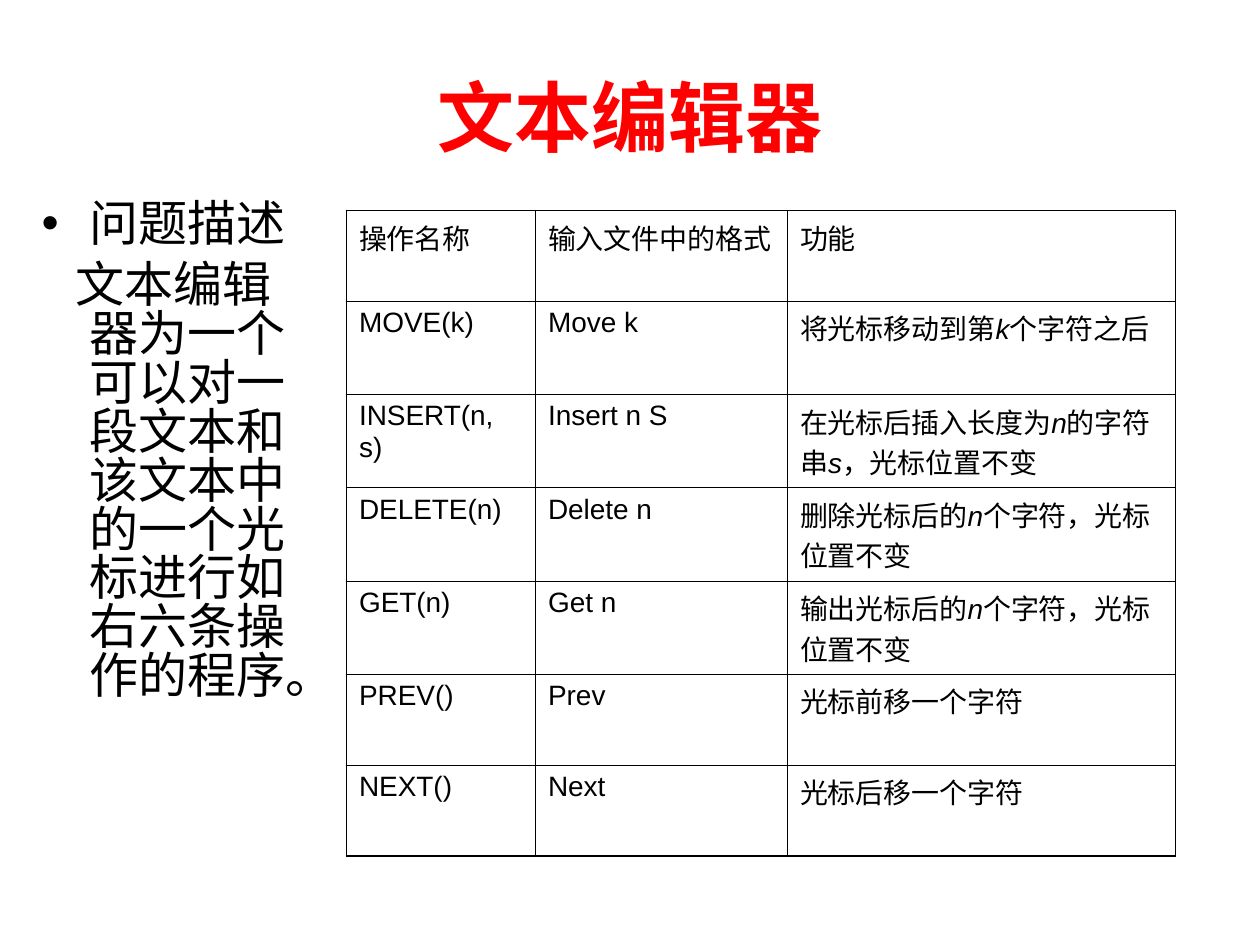
from lxml import etree
from pptx import Presentation
from pptx.dml.color import RGBColor
from pptx.enum import text
from pptx.oxml import ns
from pptx.util import Inches, Pt

CJK = "Noto Sans CJK JP"


def style(span, size, color, latin=CJK):
    span.font.size = Pt(size)
    span.font.name = latin
    span.font.color.rgb = RGBColor.from_string(color)
    east = etree.SubElement(span.font._element, ns.qn("a:ea"))
    east.set("typeface", CJK)


def add_border(cell, side, width, position):
    line = etree.Element(ns.qn(f"a:ln{side}"), w=str(Pt(width)))
    fill = etree.SubElement(line, ns.qn("a:solidFill"))
    etree.SubElement(fill, ns.qn("a:srgbClr"), val="000000")
    cell._tc.get_or_add_tcPr().insert(position, line)


deck = Presentation()
deck.slide_width, deck.slide_height = Inches(10), Inches(7.5)
page = deck.slides.add_slide(deck.slide_layouts[1])

# Title
title = page.shapes.title
title.left, title.top = Inches(0.5), Inches(0.5)
title.width, title.height = Inches(9), Inches(0.83)
title.text_frame.text = "文本编辑器"
title.text_frame.auto_size = text.MSO_AUTO_SIZE.NONE
title.text_frame.vertical_anchor = text.MSO_ANCHOR.MIDDLE
heading = title.text_frame.paragraphs[0]
heading.alignment = text.PP_ALIGN.CENTER
style(heading.runs[0], 44, "FF0000")
heading.runs[0].font.bold = True

# Problem description: a bulleted heading and an indented paragraph
body = page.placeholders[1]
body.left, body.top = Inches(0.23), Inches(1.56)
body.width, body.height = Inches(2.33), Inches(5.33)
body.text_frame.text = (
    "问题描述\n"
    "文本编辑器为一个可以对一段文本和该文本中的一个光标进行如右六条操作的程序。"
)
body.text_frame.auto_size = text.MSO_AUTO_SIZE.NONE
bullets = [("•", -0.38, 0), (None, -0.11, 7)]
for para, (bullet, indent, before) in zip(body.text_frame.paragraphs, bullets):
    props = para._p.get_or_add_pPr()
    props.set("marL", str(Inches(0.38)))
    props.set("indent", str(Inches(indent)))
    if bullet:
        etree.SubElement(props, ns.qn("a:buFont"), typeface="Arial")
        etree.SubElement(props, ns.qn("a:buChar"), char=bullet)
    else:
        etree.SubElement(props, ns.qn("a:buNone"))
    para.space_before = Pt(before)
    para.line_spacing = 0.83
    style(para.runs[0], 28, "000000")

# Table of operations; asterisks enclose italic variables
rows = [
    ("操作名称", "输入文件中的格式", "功能"),
    ("MOVE(k)", "Move k", "将光标移动到第*k*个字符之后"),
    ("INSERT(n, s)", "Insert n S", "在光标后插入长度为*n*的字符串*s*，光标位置不变"),
    ("DELETE(n)", "Delete n", "删除光标后的*n*个字符，光标位置不变"),
    ("GET(n)", "Get n", "输出光标后的*n*个字符，光标位置不变"),
    ("PREV()", "Prev", "光标前移一个字符"),
    ("NEXT()", "Next", "光标后移一个字符"),
]
widths = [1.5, 2, 3.08]
row_height = 0.72
frame = page.shapes.add_table(
    len(rows), len(widths), Inches(2.75), Inches(1.67),
    Inches(sum(widths)), Inches(row_height * len(rows)),
)
table = frame.table
table.first_row = table.horz_banding = False
for column, width in zip(table.columns, widths):
    column.width = Inches(width)

for r, row in enumerate(rows):
    table.rows[r].height = Inches(row_height)
    for c, content in enumerate(row):
        cell = table.cell(r, c)
        cell.fill.background()
        para = cell.text_frame.paragraphs[0]
        for i, part in enumerate(content.split("*")):
            span = para.add_run()
            span.text = part
            style(span, 16, "000000", "Arial")
            span.font.italic = i % 2 == 1

        # Heavier lines around the outside
        outer = {
            "L": c == 0,
            "R": c == len(widths) - 1,
            "T": r == 0,
            "B": r == len(rows) - 1,
        }
        for position, (side, is_outer) in enumerate(outer.items()):
            add_border(cell, side, 1.08 if is_outer else 0.45, position)

deck.save("out.pptx")
